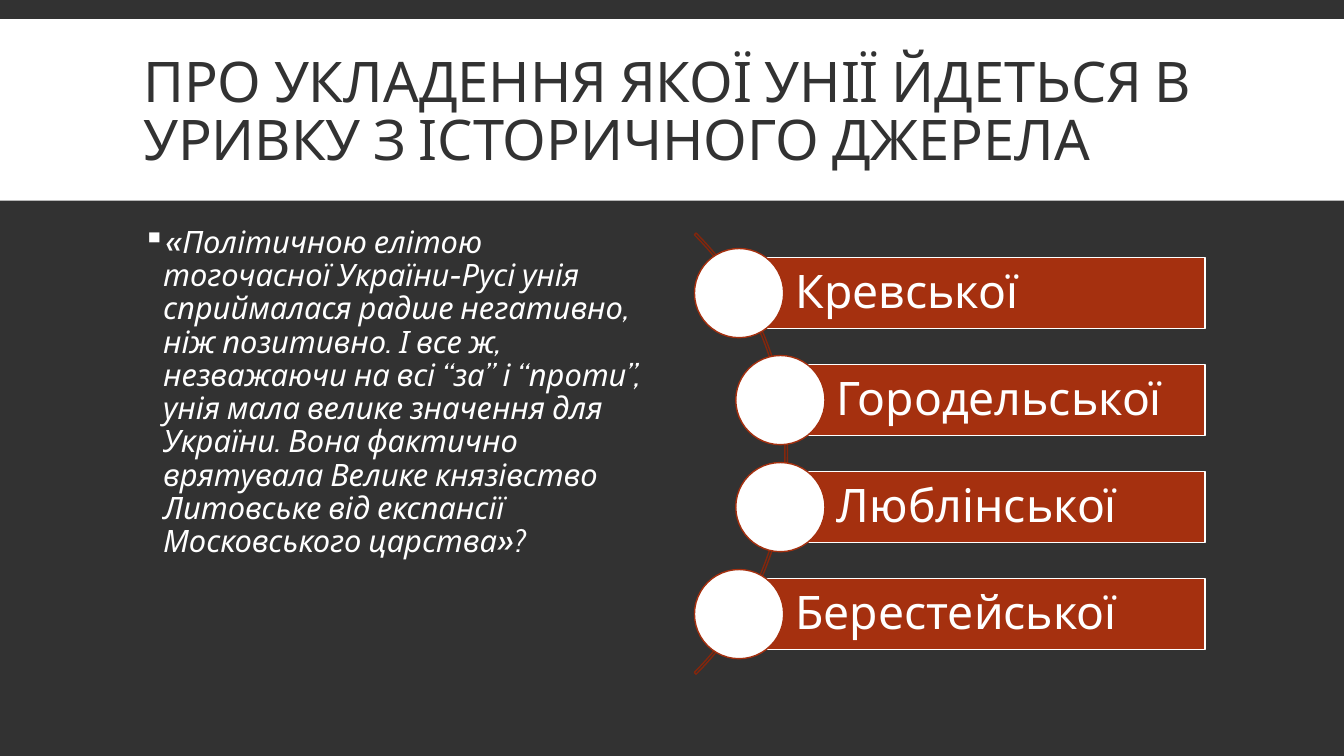
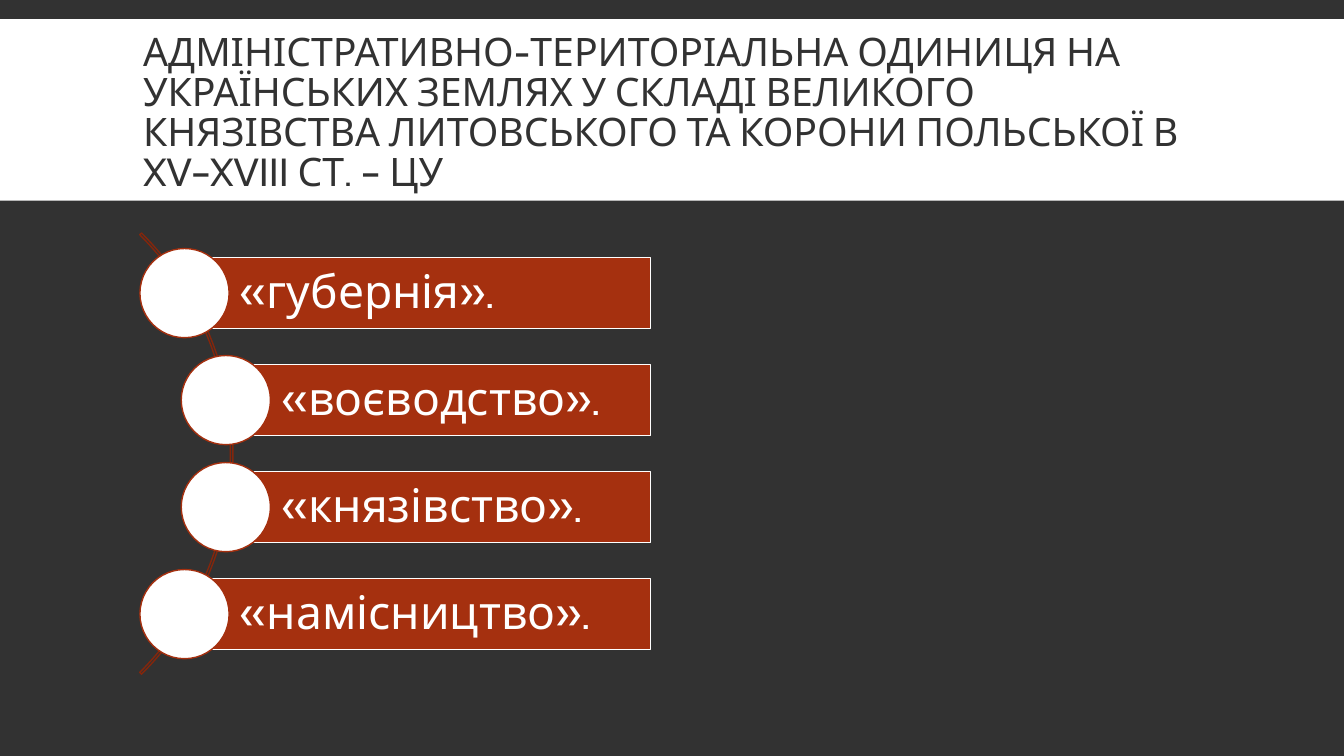
from dataclasses import dataclass
from lxml import etree
from pptx import Presentation, util as u
from pptx.dml.color import RGBColor as Rgb
from pptx.enum import shapes as sh, text as tx
from pptx.oxml.ns import qn


@dataclass(frozen=True)
class Theme:
    font: str = "Cabin"
    dark: Rgb = Rgb(0x32, 0x32, 0x32)
    white: Rgb = Rgb(0xFF, 0xFF, 0xFF)
    rust: Rgb = Rgb(0xA5, 0x30, 0x0F)
    curve: Rgb = Rgb(0x84, 0x26, 0x0C)
    quote: int = 22
    item: int = 33


T = Theme()
WIDE, HIGH = 13.33, 7.5
TITLE = (1.32, 0.31, 10.7, 1.65)
LEFT = (1.32, 2.2, 5.2, 4.6)
RIGHT = (6.82, 2.2, 5.2, 4.6)


def inch(*box):
    return [u.Inches(v) for v in box]


def shape(slide, kind, box, fill=None, line=None):
    item = slide.shapes.add_shape(kind, *inch(*box))
    item.shadow.inherit = False
    if fill is None:
        item.fill.background()
    else:
        item.fill.solid()
        item.fill.fore_color.rgb = fill
    if line is None:
        item.line.fill.background()
    else:
        item.line.color.rgb = line
        item.line.width = u.Pt(1)
    return item


def write(frame, words, size, color, space, anchor, italic=None):
    frame.word_wrap = True
    frame.auto_size = tx.MSO_AUTO_SIZE.NONE
    frame.vertical_anchor = anchor
    para = frame.paragraphs[0]
    para.alignment = tx.PP_ALIGN.LEFT
    para.line_spacing = space
    run = para.add_run()
    run.text = words
    font = run.font
    font.name, font.size, font.italic = T.font, u.Pt(size), italic
    font.color.rgb = color
    return para


# Shared look: dark ground, white band, title place
def style(layout, slide):
    ground = layout.background.fill
    ground.solid()
    ground.fore_color.rgb = T.dark
    band = shape(slide, sh.MSO_SHAPE.RECTANGLE, (0, 0.19, WIDE, 1.8), T.white)
    layout.shapes.element.insert(2, band.element)


def title(slide, words, size):
    head = slide.shapes.title
    head.left, head.top, head.width, head.height = inch(*TITLE)
    write(head.text_frame, words, size, T.dark, 0.85, tx.MSO_ANCHOR.MIDDLE)


# Bulleted quotation
def quote(slide, box, words):
    frame = slide.shapes.add_textbox(*inch(*box)).text_frame
    para = write(frame, words, T.quote, T.white, 0.9, tx.MSO_ANCHOR.TOP, True)
    props = para._p.get_or_add_pPr()
    props.set("marL", str(u.Inches(0.2)))
    props.set("indent", str(u.Inches(-0.2)))
    tint = etree.SubElement(props, qn("a:buClr"))
    etree.SubElement(tint, qn("a:srgbClr"), val=str(T.white))
    etree.SubElement(props, qn("a:buChar"), char="▪")


# Answers along a curve: bars, gaps and edges follow the box height
def answers(slide, box, names):
    left, top, width, height = box
    span = 6.19
    arc = shape(slide, sh.MSO_SHAPE.BLOCK_ARC,
                (left - 5.2, top + (height - span) / 2, span, span),
                line=T.curve)
    arc.adjustments[0] = 189
    arc.adjustments[1] = 27
    arc.adjustments[2] = 0.4 / 100

    unit = height / (3 * len(names) + 1)
    bar, dot = 2 * unit, 2.5 * unit
    right = left + width - 0.07
    for row, name in enumerate(names):
        edge = row in (0, len(names) - 1)
        start = left + (0.51 if edge else 0.92)
        y = top + unit * (1 + 3 * row)
        strip = shape(slide, sh.MSO_SHAPE.RECTANGLE,
                      (start, y, right - start, bar), T.rust, T.white)
        frame = strip.text_frame
        frame.margin_left = u.Inches(0.56)
        frame.margin_right = frame.margin_top = u.Inches(0.09)
        frame.margin_bottom = u.Inches(0.09)
        write(frame, name, T.item, T.white, 0.9, tx.MSO_ANCHOR.MIDDLE)
        shape(slide, sh.MSO_SHAPE.OVAL,
              (start - dot / 2, y + (bar - dot) / 2, dot, dot),
              T.white, T.rust)


def main():
    deck = Presentation()
    deck.slide_width, deck.slide_height = inch(WIDE, HIGH)
    layout = deck.slide_layouts[5]

    # Question on the union
    union = deck.slides.add_slide(layout)
    style(layout, union)
    title(union, "ПРО УКЛАДЕННЯ ЯКОЇ УНІЇ ЙДЕТЬСЯ В УРИВКУ З "
          "ІСТОРИЧНОГО ДЖЕРЕЛА", 40)
    quote(union, LEFT,
          "«Політичною елітою тогочасної України-Русі унія сприймалася "
          "радше негативно, ніж позитивно. І все ж, незважаючи на всі “за” "
          "і “проти”, унія мала велике значення для України. Вона фактично "
          "врятувала Велике князівство Литовське від експансії "
          "Московського царства»?")
    answers(union, RIGHT,
            ["Кревської", "Городельської", "Люблінської", "Берестейської"])

    # Question on the land unit
    land = deck.slides.add_slide(layout)
    title(land, "АДМІНІСТРАТИВНО-ТЕРИТОРІАЛЬНА ОДИНИЦЯ НА УКРАЇНСЬКИХ "
          "ЗЕМЛЯХ У СКЛАДІ ВЕЛИКОГО КНЯЗІВСТВА ЛИТОВСЬКОГО ТА КОРОНИ "
          "ПОЛЬСЬКОЇ В XV–XVIII СТ. – ЦУ", 28)
    answers(land, LEFT,
            ["«губернія».", "«воєводство».", "«князівство».",
             "«намісництво»."])

    deck.save("out.pptx")


if __name__ == "__main__":
    main()
